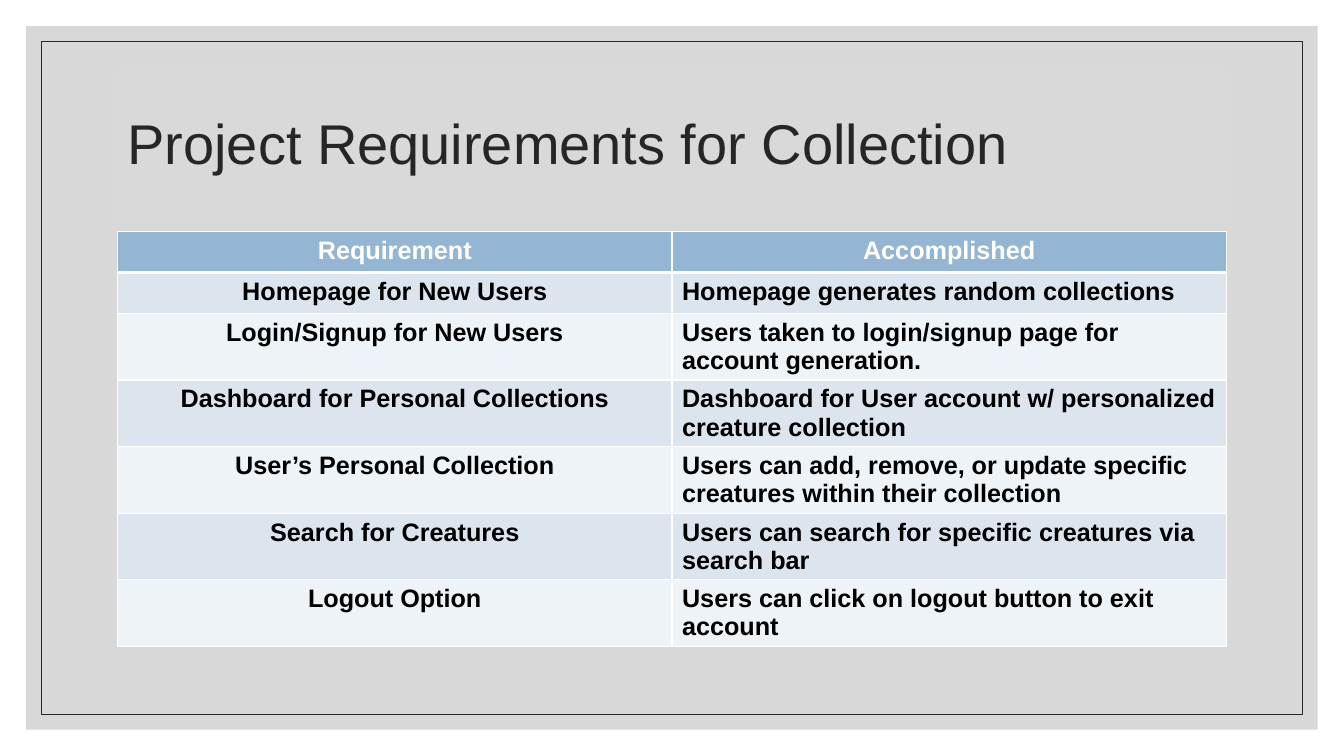
from dataclasses import dataclass

from lxml import etree
from pptx import Presentation, util as u
from pptx.dml.color import RGBColor
from pptx.enum import shapes, text
from pptx.oxml import ns
from pptx.shapes.autoshape import Shape
from pptx.slide import Slide
from pptx.table import _Cell as Cell


@dataclass(frozen=True)
class Theme:
    font: str = "Arial"
    title_size: int = 40
    table_size: int = 18
    ink: str = "262626"
    body: str = "000000"
    white: str = "FFFFFF"
    frame: str = "BFBFBF"
    frame_opacity: int = 60
    title_fill: str = "D9D9D9"
    header: str = "94B6D2"
    bands: tuple[str, str] = ("DCE5EE", "EEF3F7")


@dataclass(frozen=True)
class Requirement:
    name: str
    accomplished: str


THEME = Theme()
SLIDE_WIDTH, SLIDE_HEIGHT = 33.87, 19.05
CONTENT_WIDTH = 27.94
CONTENT_LEFT = (SLIDE_WIDTH - CONTENT_WIDTH) / 2
ROW_HEIGHT = 1.03
HEADINGS = Requirement("Requirement", "Accomplished")
REQUIREMENTS = [
    Requirement("Homepage for New Users", "Homepage generates random collections"),
    Requirement("Login/Signup for New Users",
                "Users taken to login/signup page for account generation."),
    Requirement("Dashboard for Personal Collections",
                "Dashboard for User account w/ personalized creature collection"),
    Requirement("User’s Personal Collection",
                "Users can add, remove, or update specific creatures within their collection"),
    Requirement("Search for Creatures",
                "Users can search for specific creatures via search bar"),
    Requirement("Logout Option", "Users can click on logout button to exit account"),
]


def color(value: str) -> RGBColor:
    return RGBColor.from_string(value)


def add_rectangle(slide: Slide, left: float, top: float, width: float, height: float) -> Shape:
    """Add a rectangle without fill, line or shadow; lengths are in centimetres."""
    rectangle = slide.shapes.add_shape(
        shapes.MSO_SHAPE.RECTANGLE, u.Cm(left), u.Cm(top), u.Cm(width), u.Cm(height))
    rectangle.shadow.inherit = False
    rectangle.fill.background()
    rectangle.line.fill.background()
    return rectangle


def add_frame(slide: Slide, margin: float) -> Shape:
    """Add a rectangle at an equal distance from all slide edges."""
    return add_rectangle(slide, margin, margin,
                         SLIDE_WIDTH - 2 * margin, SLIDE_HEIGHT - 2 * margin)


def add_background(slide: Slide) -> None:
    panel = add_frame(slide, 0.66)
    panel.fill.solid()
    panel.fill.fore_color.rgb = color(THEME.frame)
    panel_color = panel.fill._xPr.find(".//" + ns.qn("a:srgbClr"))
    etree.SubElement(panel_color, ns.qn("a:alpha"), val=str(THEME.frame_opacity * 1000))

    outline = add_frame(slide, 1.04)
    outline.line.color.rgb = color(THEME.ink)
    outline.line.width = u.Pt(0.5)


def add_title(slide: Slide, title: str) -> None:
    box = add_rectangle(slide, CONTENT_LEFT, 1.78, CONTENT_WIDTH, 3.81)
    box.fill.solid()
    box.fill.fore_color.rgb = color(THEME.title_fill)
    frame = box.text_frame
    frame.word_wrap = True
    frame.vertical_anchor = text.MSO_ANCHOR.MIDDLE
    paragraph = frame.paragraphs[0]
    paragraph.text = title
    paragraph.alignment = text.PP_ALIGN.LEFT
    paragraph.line_spacing = 0.9
    paragraph.font.name = THEME.font
    paragraph.font.size = u.Pt(THEME.title_size)
    paragraph.font.color.rgb = color(THEME.ink)


def set_borders(cell: Cell, top: float, bottom: float) -> None:
    """Draw white cell borders, with one-point sides; widths are in points."""
    properties = cell._tc.get_or_add_tcPr()
    widths = {"lnL": 1, "lnR": 1, "lnT": top, "lnB": bottom}
    for position, (side, width) in enumerate(widths.items()):
        border = etree.Element(ns.qn(f"a:{side}"), w=str(u.Pt(width)))
        fill = etree.SubElement(border, ns.qn("a:solidFill"))
        etree.SubElement(fill, ns.qn("a:srgbClr"), val=THEME.white)
        properties.insert(position, border)


def fill_cell(cell: Cell, words: str, fill: str, ink: str, centred: bool) -> None:
    cell.fill.solid()
    cell.fill.fore_color.rgb = color(fill)
    paragraph = cell.text_frame.paragraphs[0]
    paragraph.text = words
    paragraph.alignment = text.PP_ALIGN.CENTER if centred else text.PP_ALIGN.LEFT
    paragraph.font.name = THEME.font
    paragraph.font.size = u.Pt(THEME.table_size)
    paragraph.font.bold = True
    paragraph.font.color.rgb = color(ink)


def add_requirements_table(slide: Slide) -> None:
    rows = [HEADINGS, *REQUIREMENTS]
    table = slide.shapes.add_table(
        len(rows), 2, u.Cm(CONTENT_LEFT), u.Cm(5.84),
        u.Cm(CONTENT_WIDTH), u.Cm(ROW_HEIGHT * len(rows))).table
    for index, row in enumerate(rows):
        is_header = index == 0
        fill = THEME.header if is_header else THEME.bands[(index - 1) % 2]
        ink = THEME.white if is_header else THEME.body
        for column, words in enumerate((row.name, row.accomplished)):
            cell = table.cell(index, column)
            fill_cell(cell, words, fill, ink, centred=is_header or column == 0)
            set_borders(cell, top=3 if index == 1 else 1, bottom=3 if is_header else 1)


def main() -> None:
    presentation = Presentation()
    presentation.slide_width = u.Cm(SLIDE_WIDTH)
    presentation.slide_height = u.Cm(SLIDE_HEIGHT)
    slide = presentation.slides.add_slide(presentation.slide_layouts[6])
    add_background(slide)
    add_title(slide, "Project Requirements for Collection")
    add_requirements_table(slide)
    presentation.save("out.pptx")


if __name__ == "__main__":
    main()
